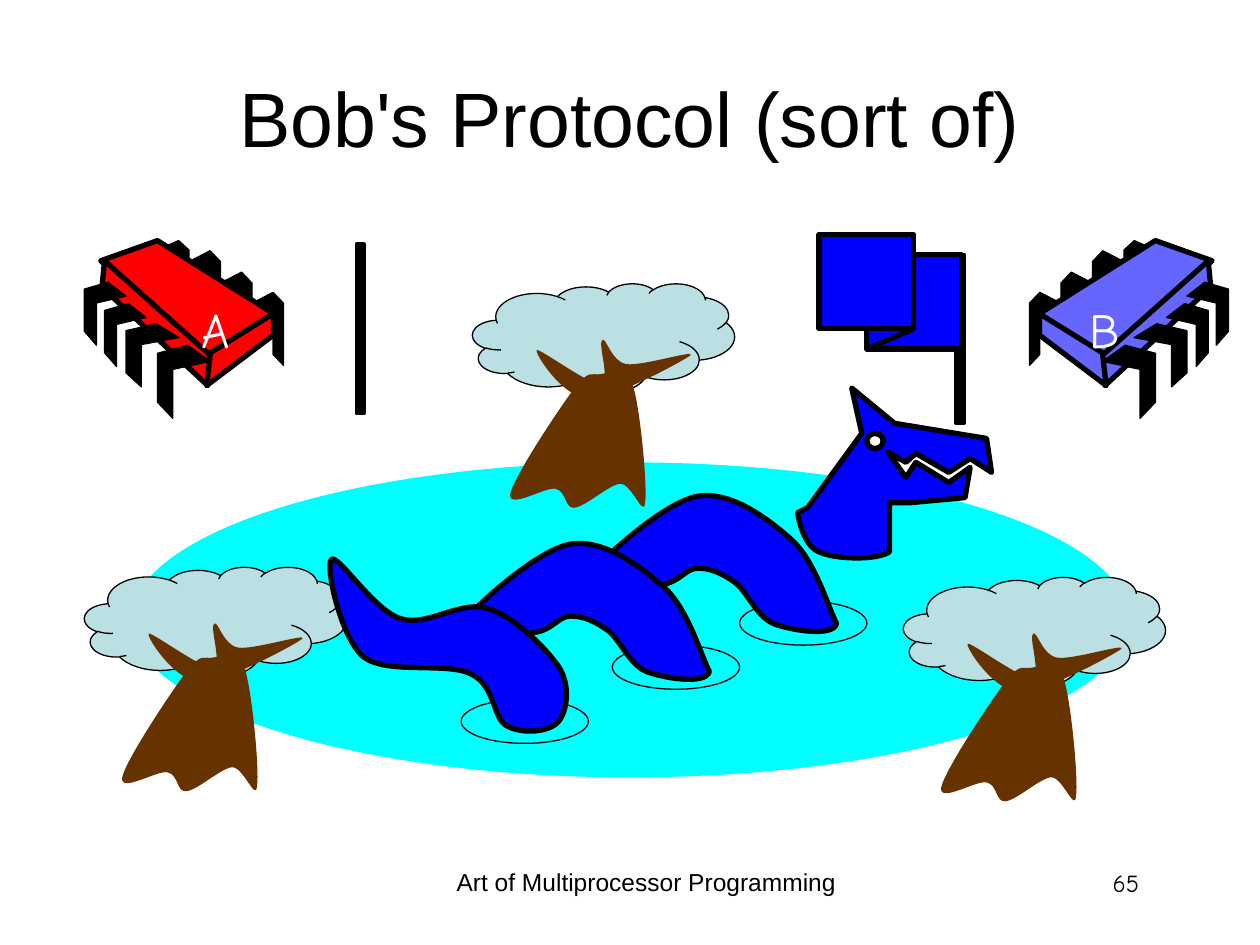
"""Build the lake slide with two chips, three trees, flags and a sea serpent."""
from dataclasses import dataclass
from typing import Optional

from lxml.etree import SubElement
from pptx import Presentation
from pptx.dml.color import RGBColor
from pptx.enum.shapes import MSO_CONNECTOR as Connector, MSO_SHAPE as Preset
from pptx.enum.text import MSO_ANCHOR as Anchor, MSO_AUTO_SIZE as AutoSize, PP_ALIGN as Align
from pptx.oxml.ns import qn
from pptx.util import Inches, Pt

BLACK, WHITE, BLUE, BROWN = "000000", "FFFFFF", "0000FF", "663300"
MIRROR_SUM = 10.42

BACK_LEG = [(0, 0.15), (0.67, 0), (1, 0.15), (1, 1), (0.67, 0.85), (0.67, 0.29), (0, 0.43)]
FRONT_LEG = [(0.57, 0), (1, 0.22), (0.29, 0.33), (0.29, 1), (0, 0.78), (0, 0.11)]
BACK_LEGS = [(2, 2.32, 0.25, 0.58), (1.75, 2.16, 0.25, 0.58),
             (1.5, 1.99, 0.25, 0.58), (1.25, 1.91, 0.25, 0.5)]
FRONT_LEGS = [(1.25, 2.74, 0.42, 0.58), (1, 2.57, 0.42, 0.5),
              (0.83, 2.41, 0.33, 0.5), (0.67, 2.24, 0.33, 0.5)]
CHIP_FACES = [
    [(1.25, 1.91), (2.17, 2.49), (1.65, 2.84), (0.8, 2.07)],
    [(0.83, 2.07), (1.67, 2.82), (1.65, 3.06), (0.81, 2.28)],
    [(2.17, 2.49), (2.17, 2.66), (1.64, 3.06), (1.67, 2.8)],
]
TRUNK = [
    (4.56, 3.08), (4.68, 2.93, 4.69, 2.98, 4.77, 2.97), (4.84, 2.96, 4.96, 2.88, 5.02, 3.05),
    (5.08, 3.22, 5.14, 3.86, 5.12, 3.99), (5.11, 4.12, 5.01, 3.83, 4.92, 3.84),
    (4.83, 3.85, 4.65, 4.02, 4.56, 4.03), (4.48, 4.04, 4.5, 3.9, 4.41, 3.88),
    (4.33, 3.86, 4.03, 4.05, 4.05, 3.92), (4.08, 3.78, 4.44, 3.24, 4.56, 3.08),
]
BRANCHES = [
    (4.26, 2.78), (4.24, 2.8, 4.46, 3.15, 4.66, 3.16), (4.87, 3.17, 5.43, 2.86, 5.48, 2.82),
    (5.53, 2.77, 5.09, 2.91, 4.97, 2.89), (4.85, 2.87, 4.81, 2.67, 4.78, 2.7),
    (4.74, 2.72, 4.85, 3.03, 4.77, 3.05), (4.68, 3.06, 4.28, 2.76, 4.26, 2.78),
]
HUMP = [
    (6.64, 4.95), (6.61, 5.06, 6.27, 5, 6.14, 4.95), (6, 4.89, 5.93, 4.69, 5.83, 4.62),
    (5.73, 4.55, 5.64, 4.51, 5.54, 4.51), (5.44, 4.51, 5.4, 4.62, 5.25, 4.64),
    (5.11, 4.65, 4.61, 4.72, 4.66, 4.6), (4.71, 4.49, 5.26, 3.99, 5.53, 3.94),
    (5.8, 3.89, 6.1, 4.12, 6.29, 4.29), (6.47, 4.46, 6.57, 4.81, 6.64, 4.95),
]
HEAD = [
    (6.41, 4.03), (6.84, 3.44), (6.76, 3.08), (7.1, 3.36), (7.83, 3.48), (7.87, 3.75),
    (7.7, 3.64), (7.53, 3.75), (7.27, 3.6), (7.19, 3.67), (7.05, 3.59), (7.19, 3.79),
    (7.27, 3.67), (7.53, 3.83), (7.7, 3.71), (7.66, 3.95), (7.23, 3.99), (7.06, 3.99),
    (7.06, 4.38), (6.96, 4.45, 6.62, 4.44, 6.5, 4.38), (6.38, 4.33, 6.34, 4.13, 6.33, 4.07),
]
TAIL = [
    (2.63, 4.44), (2.68, 4.39, 2.97, 4.85, 3.18, 4.91), (3.38, 4.98, 3.66, 4.76, 3.87, 4.83),
    (4.08, 4.89, 4.34, 5.15, 4.44, 5.3), (4.53, 5.45, 4.5, 5.65, 4.43, 5.73),
    (4.36, 5.81, 4.14, 5.83, 4.02, 5.76), (3.91, 5.7, 3.93, 5.44, 3.74, 5.35),
    (3.55, 5.25, 3.07, 5.36, 2.88, 5.21), (2.7, 5.05, 2.58, 4.49, 2.63, 4.44),
]


@dataclass
class Style:
    fill: Optional[str] = None
    line: Optional[str] = None
    width: float = 0.75


@dataclass
class Label:
    text: str
    place: tuple
    size: float
    font: str
    align: Align
    color: str = BLACK
    anchor: Anchor = Anchor.TOP
    wrap: bool = True


LEG_STYLE = Style(BLACK, BLACK)
POLE_STYLE = Style(BLACK, BLACK, 2.25)
SERPENT = Style(BLUE, BLACK, 3)


def rgb(color: str) -> RGBColor:
    return RGBColor.from_string(color)


def paint(shape, style: Style) -> None:
    shape.shadow.inherit = False
    if style.fill:
        shape.fill.solid()
        shape.fill.fore_color.rgb = rgb(style.fill)
    else:
        shape.fill.background()
    if style.line:
        shape.line.color.rgb = rgb(style.line)
        shape.line.width = Pt(style.width)
    else:
        shape.line.fill.background()


def add_preset(shapes, preset: Preset, place: tuple, style: Style):
    shape = shapes.add_shape(preset, *map(Inches, place))
    paint(shape, style)
    return shape


def add_outline(shapes, steps: list, style: Style, shift: tuple = (0, 0)) -> None:
    """Draw a closed outline; a step of two numbers is a line, of six a Bézier curve."""
    points = [(Inches(step[i] + shift[0]), Inches(step[i + 1] + shift[1]))
              for step in steps for i in range(0, len(step), 2)]
    builder = shapes.build_freeform(*points[0], scale=1.0)
    builder.add_line_segments(points[1:], close=True)
    shape = builder.convert_to_shape()
    paint(shape, style)
    segments = iter(list(shape.element.iter(qn("a:lnTo"))))
    for step in steps[1:]:
        first = next(segments)
        if len(step) == 6:
            first.tag = qn("a:cubicBezTo")
            for extra in (next(segments), next(segments)):
                first.append(extra[0])
                extra.getparent().remove(extra)


def add_label(shapes, label: Label) -> None:
    box = shapes.add_textbox(*map(Inches, label.place))
    frame = box.text_frame
    frame.word_wrap = label.wrap
    frame.auto_size = AutoSize.NONE if label.wrap else AutoSize.SHAPE_TO_FIT_TEXT
    frame.vertical_anchor = label.anchor
    para = frame.paragraphs[0]
    para.text = label.text
    para.alignment = label.align
    para.font.name = label.font
    para.font.size = Pt(label.size)
    para.font.color.rgb = rgb(label.color)


def add_chip(page, color: str, mirrored: bool = False) -> None:
    shapes = page.shapes.add_group_shape().shapes

    def piece(points: list, style: Style) -> None:
        add_outline(shapes, [(MIRROR_SUM - x if mirrored else x, y) for x, y in points], style)

    def legs(outline: list, places: list) -> None:
        for left, top, width, height in places:
            piece([(left + x * width, top + y * height) for x, y in outline], LEG_STYLE)

    legs(BACK_LEG, BACK_LEGS)
    for face in CHIP_FACES:
        piece(face, Style(color, BLACK, 3))
    legs(FRONT_LEG, FRONT_LEGS)


def add_tree(page, left: float, top: float) -> None:
    shapes = page.shapes.add_group_shape().shapes
    crown = add_preset(shapes, Preset.CLOUD_CALLOUT, (left, top, 2.08, 0.87), Style("BBE0E3", BLACK))
    crown.adjustments[0], crown.adjustments[1] = 0.018, 0.493
    for wood in (TRUNK, BRANCHES):
        add_outline(shapes, wood, Style(BROWN), (left - 3.75, top - 2.25))


def add_raised_flag(page) -> None:
    shapes = page.shapes.add_group_shape().shapes
    add_preset(shapes, Preset.RECTANGLE, (7.59, 2.02, 0.06, 1.34), POLE_STYLE)
    add_preset(shapes, Preset.RECTANGLE, (6.88, 2.02, 0.75, 0.75), SERPENT)
    fold = shapes.add_connector(Connector.STRAIGHT, *map(Inches, (6.88, 2.77, 7.25, 2.61)))
    fold.line.color.rgb = rgb(BLACK)
    fold.line.width = Pt(3)
    SubElement(fold.element.spPr, qn("a:effectLst"))
    add_preset(shapes, Preset.RECTANGLE, (6.5, 1.86, 0.75, 0.75), SERPENT)


def main() -> None:
    deck = Presentation()
    deck.slide_width, deck.slide_height = Inches(10), Inches(7.5)
    page = deck.slides.add_slide(deck.slide_layouts[6])
    shapes = page.shapes
    add_label(shapes, Label("65", (7.06, 6.84, 2.08, 0.5), 14, "Comic Neue", Align.RIGHT))
    add_label(shapes, Label("Bob's Protocol (sort of)", (0.5, 0.3, 9, 1.25), 44, "Arial",
                            Align.CENTER, anchor=Anchor.MIDDLE))
    add_chip(page, "FF0000")
    add_chip(page, "6666FF", mirrored=True)
    add_preset(shapes, Preset.OVAL, (1.04, 3.67, 7.92, 2.5), Style("00FFFF"))
    for name, left, width in (("A", 1.43, 0.49), ("B", 8.54, 0.45)):
        add_label(shapes, Label(name, (left, 2.33, width, 0.57), 28, "Comic Neue",
                                Align.RIGHT, WHITE, wrap=False))
    for left, top in ((3.75, 2.25), (7.17, 4.58), (0.67, 4.5)):
        add_tree(page, left, top)
    add_raised_flag(page)
    add_preset(shapes, Preset.RECTANGLE, (2.83, 1.94, 0.06, 1.34), POLE_STYLE)
    for left, top in ((4.86, 5.12), (3.66, 5.55), (5.87, 4.77)):
        add_preset(shapes, Preset.OVAL, (left, top, 1.01, 0.35), Style(line=BLACK))
    for shift in ((0, 0), (-1.01, 0.38)):
        add_outline(shapes, HUMP, SERPENT, shift)
    add_outline(shapes, HEAD, SERPENT)
    add_preset(shapes, Preset.OVAL, (6.88, 3.44, 0.13, 0.12), Style(WHITE, BLACK, 3))
    add_outline(shapes, TAIL, SERPENT)
    add_label(shapes, Label("Art of Multiprocessor Programming", (3.42, 6.83, 3.42, 0.52), 14,
                            "Arial", Align.CENTER))
    deck.save("out.pptx")


if __name__ == "__main__":
    main()
